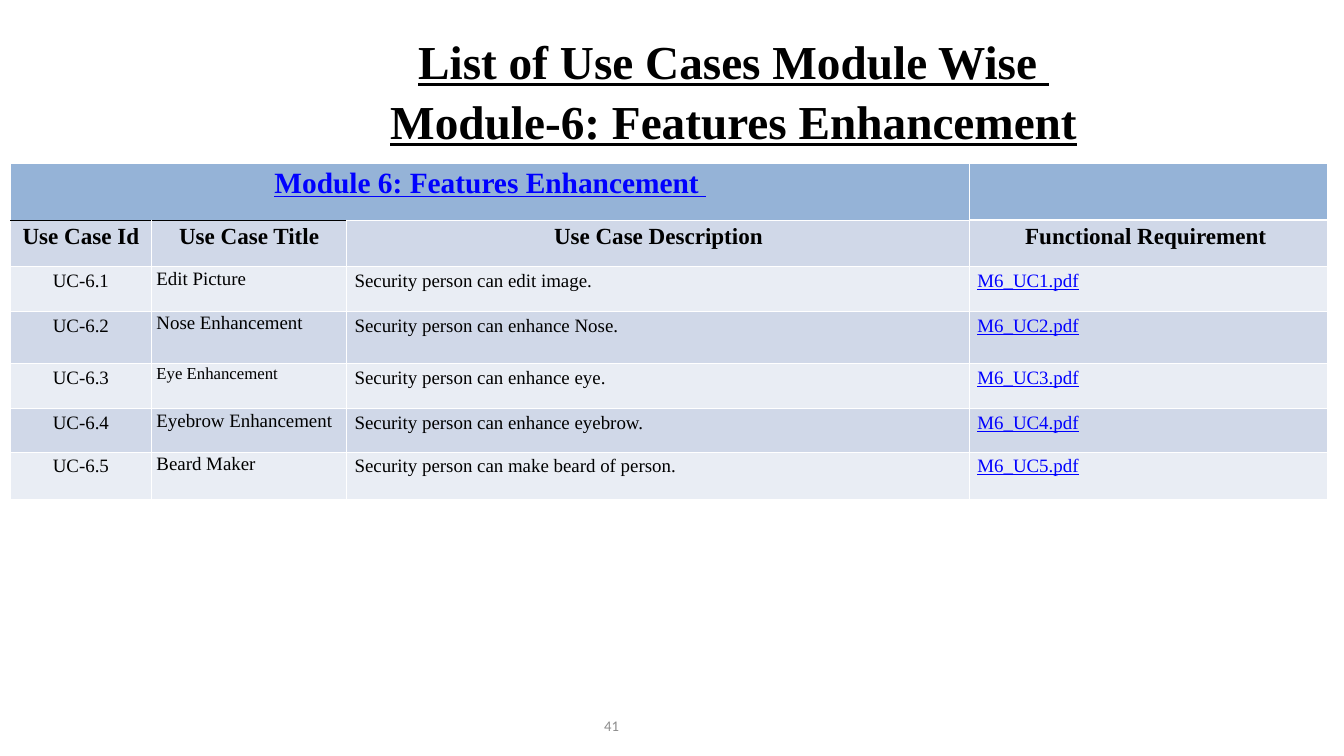
import pptx
import pptx.dml.color
import pptx.enum.text
import pptx.oxml
import pptx.oxml.ns
import pptx.util
from pptx.util import Inches

RGBColor = pptx.dml.color.RGBColor
ALIGN = pptx.enum.text.PP_ALIGN
ANCHOR = pptx.enum.text.MSO_ANCHOR

BLACK = RGBColor(0x00, 0x00, 0x00)
WHITE = RGBColor(0xFF, 0xFF, 0xFF)
GRAY = RGBColor(0x8C, 0x8C, 0x8C)
LINK_BLUE = RGBColor(0x00, 0x00, 0xFF)
MODULE_BLUE = RGBColor(0x95, 0xB3, 0xD7)
DARK_BAND = RGBColor(0xD0, 0xD8, 0xE8)
LIGHT_BAND = RGBColor(0xE9, 0xED, 0xF4)

TITLE_LINES = ["List of Use Cases Module Wise ", "Module-6: Features Enhancement"]
MODULE_NAME = "Module 6: Features Enhancement "
HEADINGS = ["Use Case Id", "Use Case Title", "Use Case Description",
            "Functional Requirement "]
# Title, title size, description
USE_CASES = [
    ("Edit Picture", 18, "Security person can edit image."),
    ("Nose Enhancement", 18, "Security person can enhance Nose."),
    ("Eye Enhancement", 16, "Security person can enhance eye."),
    ("Eyebrow Enhancement", 18, "Security person can enhance eyebrow."),
    ("Beard Maker", 18, "Security person can make beard of person."),
]
COLUMN_WIDTHS = [1.86, 2.59, 8.24, 4.73]
ROW_HEIGHTS = [0.75, 0.62, 0.59, 0.69, 0.6, 0.57, 0.63]


def write_text(frame, text, size=18, color=BLACK, font="Times New Roman",
               bold=False, underline=False, align=ALIGN.LEFT, spacing=None):
    """Fill the first paragraph; newlines become line breaks."""
    para = frame.paragraphs[0]
    para.alignment = align
    if spacing:
        para.line_spacing = spacing
    for index, line in enumerate(text.split("\n")):
        if index:
            para.add_line_break()
        span = para.add_run()
        span.text = line
        span.font.name = font
        span.font.size = pptx.util.Pt(size)
        span.font.bold = bold
        span.font.underline = underline
        span.font.color.rgb = color


def prepare_frame(frame, anchor):
    frame.word_wrap = True
    frame.auto_size = pptx.enum.text.MSO_AUTO_SIZE.NONE
    frame.vertical_anchor = anchor
    frame.margin_left = frame.margin_right = Inches(0.11)
    frame.margin_top = frame.margin_bottom = Inches(0.06)


def format_cell(cell, fill, top=(WHITE, 1), bottom=(WHITE, 1)):
    """Set the four borders, then the fill."""
    sides = {"lnL": (WHITE, 1), "lnR": (WHITE, 1), "lnT": top, "lnB": bottom}
    properties = cell._tc.get_or_add_tcPr()
    for side, (color, width) in sides.items():
        properties.append(pptx.oxml.parse_xml(
            f'<a:{side} {pptx.oxml.ns.nsdecls("a")} w="{pptx.util.Pt(width)}">'
            f'<a:solidFill><a:srgbClr val="{color}"/></a:solidFill></a:{side}>'))
    cell.fill.solid()
    cell.fill.fore_color.rgb = fill


def add_title(page, left, top, width, height):
    title = page.shapes.title
    title.left, title.top, title.width, title.height = left, top, width, height
    prepare_frame(title.text_frame, ANCHOR.TOP)
    write_text(title.text_frame, "\n".join(TITLE_LINES), size=45, bold=True,
               underline=True, align=ALIGN.CENTER, spacing=1.05)


def add_use_case_table(page, left, top, width, height):
    table = page.shapes.add_table(len(ROW_HEIGHTS), len(COLUMN_WIDTHS),
                                  left, top, width, height).table
    table.first_row = table.horz_banding = False
    for column, size in zip(table.columns, COLUMN_WIDTHS):
        column.width = Inches(size)
    for row, size in zip(table.rows, ROW_HEIGHTS):
        row.height = Inches(size)

    # Module row and headings, with a black rule over the first two columns
    table.cell(0, 0).merge(table.cell(0, 2))
    for column, heading in enumerate(HEADINGS):
        rule = (BLACK if column < 2 else WHITE, 3 if column == 3 else 1)
        format_cell(table.cell(0, column), MODULE_BLUE, bottom=rule)
        cell = table.cell(1, column)
        format_cell(cell, DARK_BAND, top=rule)
        write_text(cell.text_frame, heading, size=22, bold=True,
                   align=ALIGN.CENTER)
    write_text(table.cell(0, 0).text_frame, MODULE_NAME, size=28, bold=True,
               underline=True, color=LINK_BLUE, align=ALIGN.CENTER)

    # One row per use case
    for number, (name, name_size, description) in enumerate(USE_CASES, 1):
        cells = [table.cell(number + 1, column) for column in range(4)]
        for cell in cells:
            format_cell(cell, LIGHT_BAND if number % 2 else DARK_BAND)
        case_id, case_name, case_text, case_file = cells
        write_text(case_id.text_frame, f"UC-6.{number}", align=ALIGN.CENTER)
        case_name.margin_left = case_name.margin_right = Inches(0.07)
        case_name.margin_top = case_name.margin_bottom = 0
        write_text(case_name.text_frame, name, size=name_size, spacing=1.07)
        write_text(case_text.text_frame, description, align=ALIGN.JUSTIFY)
        write_text(case_file.text_frame, f"M6_UC{number}.pdf", color=LINK_BLUE,
                   underline=True, align=ALIGN.JUSTIFY)


def add_page_number(page, left, top, width, height):
    box = page.shapes.add_textbox(left, top, width, height)
    prepare_frame(box.text_frame, ANCHOR.MIDDLE)
    write_text(box.text_frame, "41", size=14, color=GRAY, font="Calibri",
               align=ALIGN.RIGHT)


def main():
    deck = pptx.Presentation()
    deck.slide_width, deck.slide_height = Inches(17.78), Inches(10)
    page = deck.slides.add_slide(deck.slide_layouts[5])
    add_page_number(page, Inches(7.56), Inches(9.33), Inches(0.74), Inches(0.53))
    add_title(page, Inches(2.94), Inches(0.33), Inches(13.53), Inches(1.25))
    add_use_case_table(page, Inches(0.14), Inches(2.16),
                       Inches(sum(COLUMN_WIDTHS)), Inches(sum(ROW_HEIGHTS)))
    deck.save("out.pptx")


if __name__ == "__main__":
    main()
